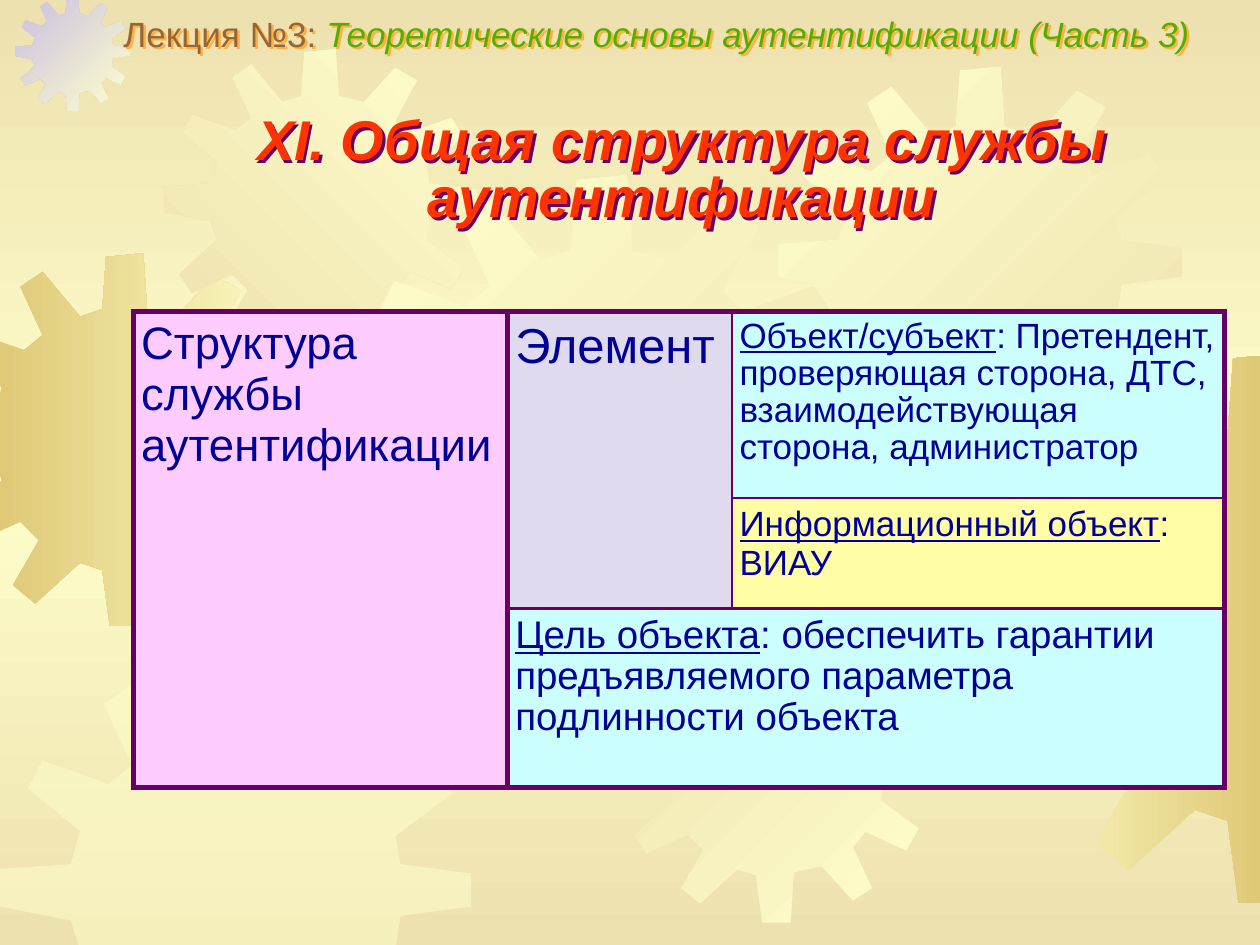
from copy import deepcopy

from lxml import etree
from pptx import Presentation
from pptx.dml.color import RGBColor
from pptx.enum.text import MSO_ANCHOR, MSO_AUTO_SIZE, PP_ALIGN
from pptx.oxml import parse_xml
from pptx.oxml.ns import nsdecls, qn
from pptx.util import Inches, Pt

MIDDLE, BOTTOM = MSO_ANCHOR.MIDDLE, MSO_ANCHOR.BOTTOM
CENTER, NO_FIT = PP_ALIGN.CENTER, MSO_AUTO_SIZE.NONE
WIDE, HIGH = 10, 7.5
FONT = "Arial"

COLORS = {
    "sand": "EDE1AF", "cream": "FFFFCC", "gold": "DFC977", "lilac": "CAC0E2",
    "red": "FF3300", "brown": "996633", "green": "56AC00", "orange": "FFB040",
    "plum": "660066", "navy": "000099", "pink": "FFCCFF", "mauve": "E0DAEE",
    "aqua": "CCFFFF", "lemon": "FFFDA5",
}

TITLE = "XI. Общая структура службы аутентификации"
HEADER = [("Лекция №3: ", "brown", False),
          ("Теоретические основы аутентификации (Часть 3)", "green", True)]

# Gear outline in hundredths of its size
GEAR = [
    (64, 17), (56, 15), (55, 0), (45, 1), (44, 15), (38, 17), (28, 5), (22, 9),
    (28, 22), (23, 26), (9, 21), (6, 27), (17, 36), (15, 43), (0, 44), (0, 52),
    (15, 55), (17, 61), (5, 72), (9, 78), (22, 72), (27, 77), (20, 89), (26, 94),
    (38, 83), (44, 85), (46, 100), (55, 100), (56, 84), (65, 82), (75, 93),
    (81, 89), (75, 76), (79, 71), (92, 77), (96, 70), (84, 61), (85, 54),
    (100, 52), (100, 45), (85, 43), (84, 37), (96, 28), (92, 22), (78, 27),
    (74, 23), (81, 10), (74, 6),
]
# left, top, size, first colour, last colour, clockwise angle
GEARS = [
    (-0.49, 2.01, 2.96, "gold", "cream", 0),
    (0.12, -0.03, 0.91, "lilac", "cream", 45),
    (1.3, 0.39, 2.48, "sand", "cream", 315),
    (2.77, 1.39, 4.01, "cream", "sand", 45),
    (0, 5.25, 3.74, "cream", None, 0),
    (4.91, 4.84, 2.48, "sand", "cream", 45),
    (6.18, 0.53, 3.2, "cream", "sand", 45),
    (7.82, 2.8, 4.37, "cream", "gold", 0),
]

COLS, ROWS = [2.97, 1.78, 3.91], [1.48, 0.88, 1.42]
# row, column, rows, columns, underlined text, plain text, size, spacing, fill
CELLS = [
    (0, 0, 3, 1, "", "Структура службы аутентификации", 26, 1, "pink"),
    (0, 1, 2, 1, "", "Элемент", 28, 1, "mauve"),
    (0, 2, 1, 1, "Объект/субъект", ": Претендент, проверяющая сторона, ДТС, "
     "взаимодействующая сторона, администратор", 20, 0.95, "aqua"),
    (1, 2, 1, 1, "Информационный объект", ": ВИАУ", 20, 1, "lemon"),
    (2, 1, 1, 2, "Цель объекта", ": обеспечить гарантии предъявляемого "
     "параметра подлинности объекта", 22, 0.95, "aqua"),
]


def rgb(name):
    return RGBColor.from_string(COLORS[name])


def shade(fill, first, last, angle):
    fill.gradient()
    fill.gradient_angle = (360 - angle) % 360
    for stop, name in zip(fill.gradient_stops, (first, last)):
        stop.color.rgb = rgb(name)


def clip(points, axis, limit, sign):
    """Keep the part of a polygon where sign * coordinate <= sign * limit."""
    kept = []
    for a, b in zip(points, points[1:] + points[:1]):
        gap_a, gap_b = (sign * (limit - p[axis]) for p in (a, b))
        if gap_a >= 0:
            kept.append(a)
        if gap_a * gap_b < 0:
            t = gap_a / (gap_a - gap_b)
            kept.append(tuple(u + t * (v - u) for u, v in zip(a, b)))
    return kept


def add_gear(slide, left, top, size, first, last, angle):
    points = [(left + x * size / 100, top + y * size / 100) for x, y in GEAR]
    for edge in ((0, 0, -1), (0, WIDE, 1), (1, 0, -1), (1, HIGH, 1)):
        points = clip(points, *edge)
    start, *rest = [(Inches(x), Inches(y)) for x, y in points]
    pen = slide.shapes.build_freeform(*start)
    pen.add_line_segments(rest, close=True)
    gear = pen.convert_to_shape()
    gear.shadow.inherit = False
    gear.line.fill.background()
    if last:
        shade(gear.fill, first, last, angle)
    else:
        gear.fill.solid()
        gear.fill.fore_color.rgb = rgb(first)
        tint = gear.fill._xPr.find(".//" + qn("a:srgbClr"))
        etree.SubElement(tint, qn("a:alpha"), val="50000")


def place(shape, box, anchor, spacing, shadow):
    shape.left, shape.top, shape.width, shape.height = map(Inches, box)
    frame = shape.text_frame
    frame.word_wrap, frame.auto_size = True, NO_FIT
    frame.vertical_anchor = anchor
    frame.margin_left = frame.margin_right = 0
    frame.margin_top = frame.margin_bottom = 0
    frame.paragraphs[0].line_spacing = spacing
    shape._element.spPr.append(parse_xml(
        f'<a:effectLst {nsdecls("a")}><a:outerShdw dist="25400" dir="2700000" '
        f'algn="ctr"><a:srgbClr val="{COLORS[shadow]}"/></a:outerShdw></a:effectLst>'))


def style(run, size, color, bold=False, italic=False):
    font = run.font
    font.name, font.size, font.color.rgb = FONT, Pt(size), rgb(color)
    font.bold, font.italic = bold, italic


def add_border(cell, spot, side, points):
    cell._tc.get_or_add_tcPr().insert(spot, parse_xml(
        f'<a:ln{side} {nsdecls("a")} w="{Pt(points)}"><a:solidFill>'
        f'<a:srgbClr val="{COLORS["plum"]}"/></a:solidFill></a:ln{side}>'))


def frame_cells(table, row, col, high, wide):
    """Rule a merged block: thick outside and after the first column."""
    end, last = row + high, col + wide
    for r in range(row, end):
        for c in range(col, last):
            origin = (r, c) == (row, col)
            edges = [("L", c == col, col < 2), ("R", c == last - 1, last != 2),
                     ("T", r == row, row == 0), ("B", r == end - 1, end == 3)]
            spot = 0
            for side, rim, thick in edges:
                if rim or origin:
                    add_border(table.cell(r, c), spot, side, 3 if thick else 1.5)
                    spot += 1


def add_grid(slide):
    table = slide.shapes.add_table(
        3, 3, Inches(1.06), Inches(2.47),
        Inches(sum(COLS)), Inches(sum(ROWS))).table
    table.first_row = table.horz_banding = False
    for col, width in zip(table.columns, COLS):
        col.width = Inches(width)
    for row, height in zip(table.rows, ROWS):
        row.height = Inches(height)
    for r, c, high, wide, lead, rest, size, spacing, color in CELLS:
        cell = table.cell(r, c)
        if high * wide > 1:
            cell.merge(table.cell(r + high - 1, c + wide - 1))
        cell.margin_left = cell.margin_right = Inches(0.06)
        cell.margin_top = cell.margin_bottom = Inches(0.06)
        para = cell.text_frame.paragraphs[0]
        para.line_spacing = spacing
        for text, line in ((lead, True), (rest, False)):
            if text:
                run = para.add_run()
                run.text = text
                style(run, size, "navy")
                run.font.underline = line
        frame_cells(table, r, c, high, wide)
        cell.fill.solid()
        cell.fill.fore_color.rgb = rgb(color)


def main():
    deck = Presentation()
    deck.slide_width, deck.slide_height = Inches(WIDE), Inches(HIGH)
    slide = deck.slides.add_slide(deck.slide_layouts[5])

    back = slide.background.fill
    shade(back, "sand", "sand", 90)
    stops = back._xPr.find(".//" + qn("a:gsLst"))
    stops.insert(1, deepcopy(stops[0]))
    mid = back.gradient_stops[1]
    mid.position, mid.color.rgb = 0.5, rgb("cream")
    for gear in GEARS:
        add_gear(slide, *gear)

    title = slide.shapes.title
    slide.shapes._spTree.append(title._element)  # in front of the gears
    title.text_frame.text = TITLE
    place(title, (0.83, 0.9, 9.17, 0.92), BOTTOM, 0.85, "plum")
    para = title.text_frame.paragraphs[0]
    para.alignment = CENTER
    style(para.runs[0], 32, "red", True, True)

    header = slide.shapes.add_textbox(0, 0, 0, 0)
    place(header, (0.98, 0.13, 9.02, 0.31), MIDDLE, 0.9, "orange")
    for text, color, italic in HEADER:
        run = header.text_frame.paragraphs[0].add_run()
        run.text = text
        style(run, 20, color, italic=italic)

    add_grid(slide)
    deck.save("out.pptx")


if __name__ == "__main__":
    main()
